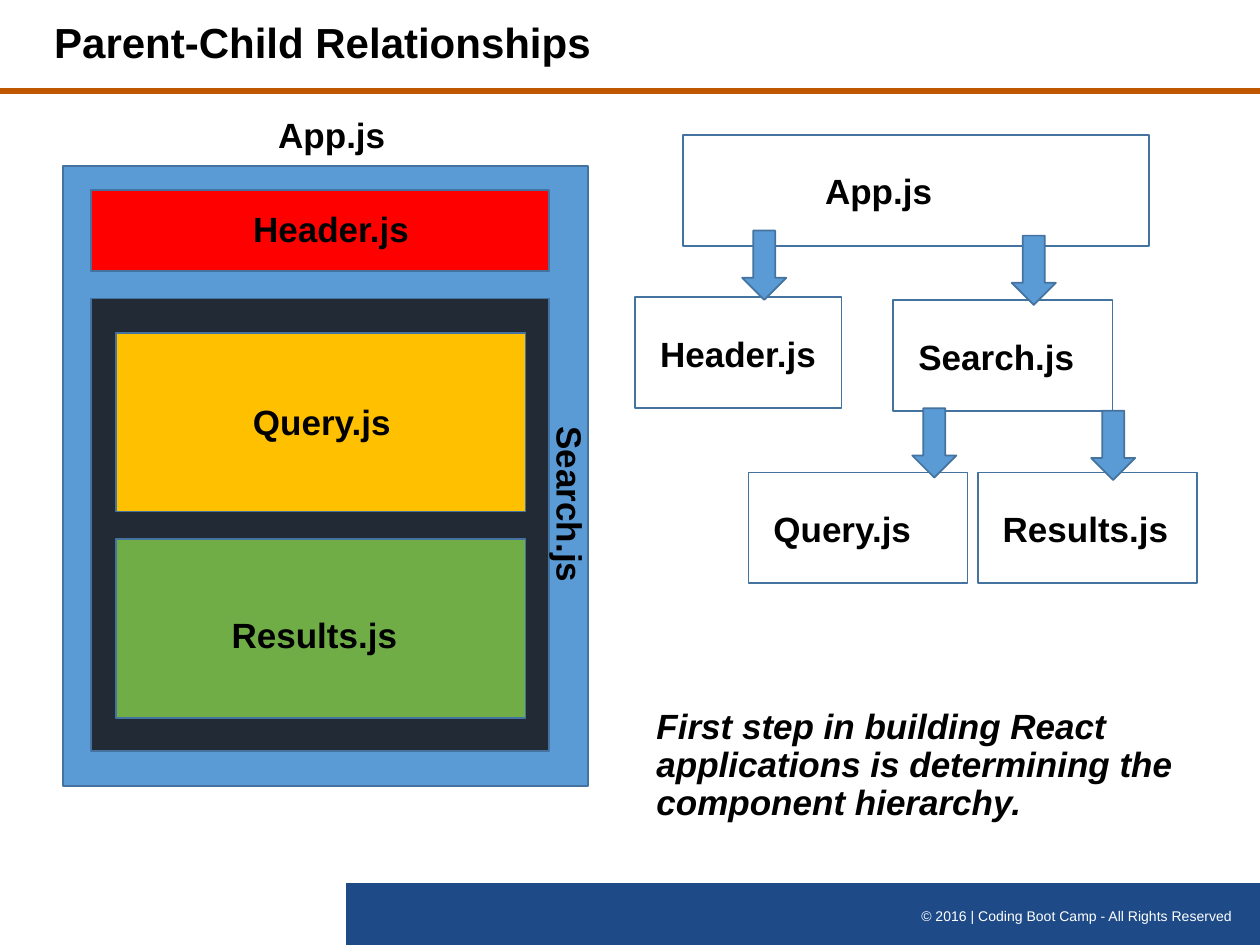
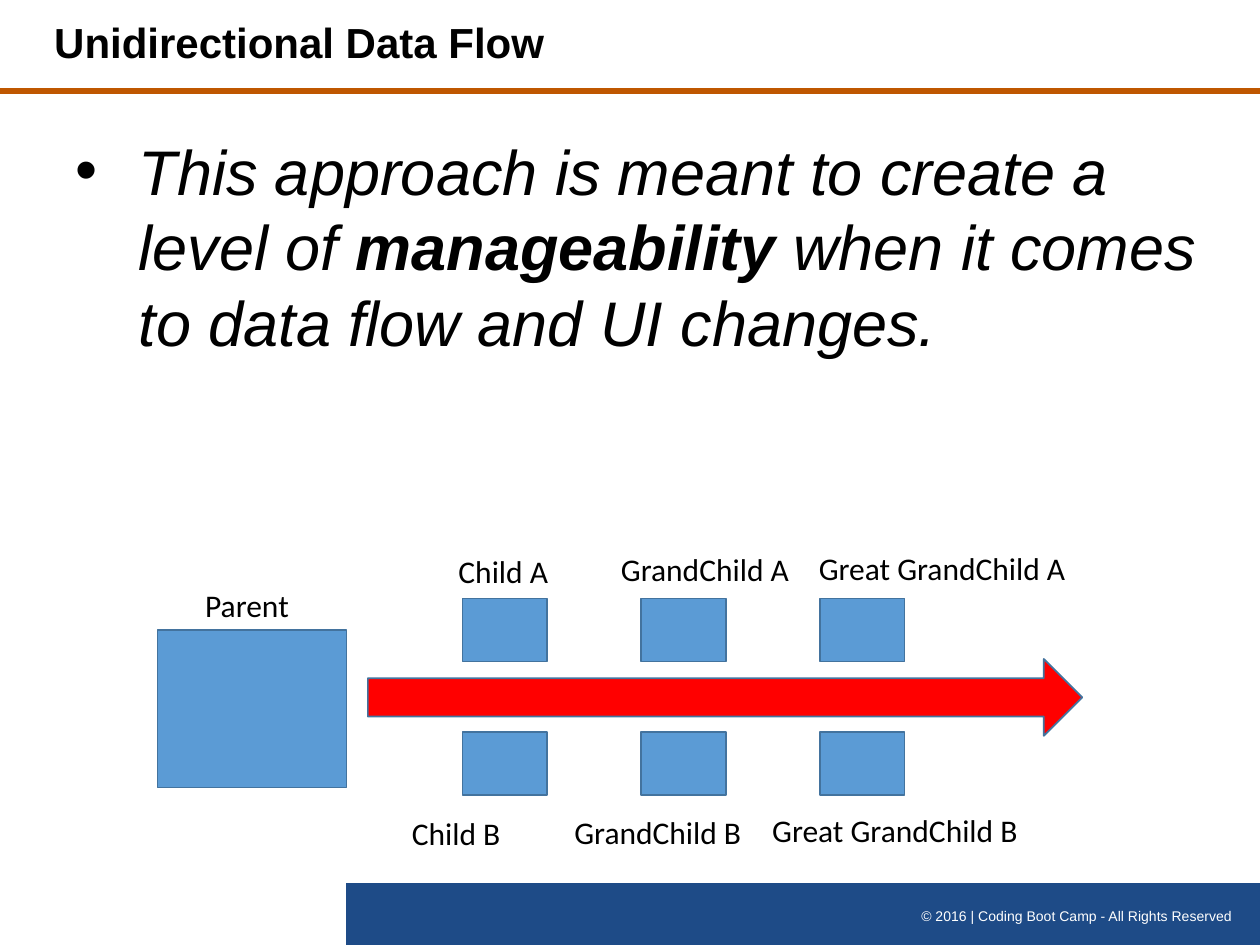
from pptx import Presentation
from pptx.dml.color import RGBColor
from pptx.enum.shapes import MSO_CONNECTOR, MSO_SHAPE
from pptx.enum.text import MSO_ANCHOR, MSO_AUTO_SIZE, PP_ALIGN
from pptx.oxml.ns import qn
from pptx.util import Inches, Pt

BLACK = RGBColor(0x00, 0x00, 0x00)
WHITE = RGBColor(0xFF, 0xFF, 0xFF)
NAVY = RGBColor(0x1E, 0x4B, 0x87)
ORANGE = RGBColor(0xBF, 0x57, 0x00)
BLUE = RGBColor(0x5B, 0x9B, 0xD5)
OUTLINE = RGBColor(0x43, 0x73, 0x9E)
RED = RGBColor(0xFF, 0x00, 0x00)
DARK = RGBColor(0x22, 0x2A, 0x35)
AMBER = RGBColor(0xFF, 0xC0, 0x00)
GREEN = RGBColor(0x70, 0xAD, 0x47)

RECTANGLE = MSO_SHAPE.RECTANGLE
PROCESS = MSO_SHAPE.FLOWCHART_PROCESS
DOWN_ARROW = MSO_SHAPE.DOWN_ARROW
RIGHT_ARROW = MSO_SHAPE.RIGHT_ARROW
STRAIGHT = MSO_CONNECTOR.STRAIGHT
MIDDLE = MSO_ANCHOR.MIDDLE
TOP = MSO_ANCHOR.TOP
LEFT = PP_ALIGN.LEFT
RIGHT = PP_ALIGN.RIGHT
GROW = MSO_AUTO_SIZE.SHAPE_TO_FIT_TEXT
FIXED = MSO_AUTO_SIZE.NONE

HEADING_FONT = "Arial"
CAPTION_FONT = "Calibri"
COLUMNS, ROWS = 10, 7.5
TITLE_ROW = 0.72
FOOTER = "© 2016 | Coding Boot Camp - All Rights Reserved"
LABEL_WIDTHS = {"App.js": 1.06, "Header.js": 1.45, "Search.js": 1.45,
                "Query.js": 1.3, "Results.js": 1.53}


class Deck:
    def __init__(self):
        self.presentation = Presentation()
        self.presentation.slide_width = Inches(10)
        self.presentation.slide_height = Inches(7.5)
        self.slide = None

    def grid(self, *lengths):
        units = (self.presentation.slide_width / COLUMNS,
                 self.presentation.slide_height / ROWS)
        return [round(length * units[index % 2])
                for index, length in enumerate(lengths)]

    def style(self, paragraph, size, font=HEADING_FONT, color=BLACK,
              bold=False, italic=False):
        paragraph.font.name = font
        paragraph.font.size = Pt(size)
        paragraph.font.color.rgb = color
        paragraph.font.bold = bold
        paragraph.font.italic = italic

    def place(self, shape, *box):
        shape.left, shape.top, shape.width, shape.height = self.grid(*box)

    def add_slide(self, title):
        layout = self.presentation.slide_layouts[1]
        self.slide = self.presentation.slides.add_slide(layout)
        self.shape(PROCESS, 2.75, 7.01, 7.26, 0.5, NAVY, None)
        self.rule(TITLE_ROW)
        self.text(FOOTER, 6.83, 7.15, 3.05, 0.24, 8, color=WHITE,
                  align=RIGHT, wrap=True)
        self.title(title)

    def title(self, words):
        shape = self.slide.shapes.title
        self.place(shape, 0.33, 0, 5.98, TITLE_ROW)
        frame = shape.text_frame
        frame.text = words
        frame.vertical_anchor = MIDDLE
        frame.auto_size = FIXED
        paragraph = frame.paragraphs[0]
        paragraph.alignment = LEFT
        paragraph.line_spacing = 0.9
        self.style(paragraph, 24, bold=True)

    def body(self, runs, box, size, margin, bullet=False, bold=False,
             spacing=1.0):
        shape = self.slide.placeholders[1]
        self.place(shape, *box)
        frame = shape.text_frame
        frame.auto_size = FIXED
        frame.vertical_anchor = TOP
        paragraph = frame.paragraphs[0]
        paragraph.space_before = Pt(0)
        paragraph.line_spacing = spacing
        self.style(paragraph, size, bold=bold, italic=True)
        for words, strong in runs:
            run = paragraph.add_run()
            run.text = words
            if strong:
                run.font.bold = True
        properties = paragraph._p.get_or_add_pPr()
        properties.set("marL", str(Inches(margin)))
        properties.set("indent", str(-Inches(margin) if bullet else 0))
        if not bullet:
            mark = properties.makeelement(qn("a:buNone"), {})
            properties.find(qn("a:spcBef")).addnext(mark)

    def rule(self, row):
        line = self.slide.shapes.add_connector(
            STRAIGHT, *self.grid(0, row, COLUMNS, row))
        line.line.color.rgb = ORANGE
        line.line.width = Pt(3.25)
        properties = line._element.spPr
        properties.append(properties.makeelement(qn("a:effectLst"), {}))

    def shape(self, kind, left, top, width, height, fill=BLUE, line=OUTLINE):
        shape = self.slide.shapes.add_shape(
            kind, *self.grid(left, top, width, height))
        shape.shadow.inherit = False
        if fill is None:
            shape.fill.background()
        else:
            shape.fill.solid()
            shape.fill.fore_color.rgb = fill
        if line is None:
            shape.line.fill.background()
        else:
            shape.line.color.rgb = line
            shape.line.width = Pt(1)

    def text(self, words, left, top, width, height, size, align=LEFT,
             wrap=False, rotation=0, **style):
        shape = self.slide.shapes.add_textbox(
            *self.grid(left, top, width, height))
        shape.rotation = rotation
        frame = shape.text_frame
        frame.word_wrap = wrap
        frame.auto_size = GROW
        frame.text = words
        paragraph = frame.paragraphs[0]
        paragraph.alignment = align
        self.style(paragraph, size, **style)

    def file_label(self, name, left, top, rotation=0):
        self.text(name, left, top, LABEL_WIDTHS[name], 0.44, 20,
                  rotation=rotation, bold=True)

    def node(self, name, left, top, width, inset=0.1):
        self.shape(RECTANGLE, left, top, width, 0.88, None)
        self.file_label(name, left + inset, top + 0.23)

    def caption(self, words, left, top, width):
        self.text(words, left, top, width, 0.4, 18, font=CAPTION_FONT)


def parent_child(deck):
    deck.add_slide("Parent-Child Relationships")
    deck.body([("First step in building React applications is determining "
                "the component hierarchy.", False)],
              (4.86, 5.58, 4.97, 1.34), 20, 0.25, bold=True, spacing=0.9)

    deck.shape(RECTANGLE, 0.5, 1.32, 4.17, 4.92)
    for top, height, color in ((1.51, 0.64, RED), (2.37, 3.59, DARK)):
        deck.shape(RECTANGLE, 0.72, top, 3.64, height, color)
    for top, color in ((2.64, AMBER), (4.28, GREEN)):
        deck.shape(RECTANGLE, 0.92, top, 3.25, 1.42, color)
    deck.file_label("Search.js", 3.8, 3.79, rotation=90)
    for name, left, top in (("Header.js", 1.91, 1.6), ("Query.js", 1.91, 3.13),
                            ("Results.js", 1.74, 4.82), ("App.js", 2.11, 0.85)):
        deck.file_label(name, left, top)

    deck.node("App.js", 5.42, 1.07, 3.7, inset=1.03)
    for name, left, top, width in (("Search.js", 7.09, 2.38, 1.74),
                                   ("Header.js", 5.04, 2.36, 1.64),
                                   ("Query.js", 5.94, 3.75, 1.74),
                                   ("Results.js", 7.76, 3.75, 1.74)):
        deck.node(name, left, top, width)
    for left, top in ((5.89, 1.83), (8.03, 1.87), (8.66, 3.26), (7.24, 3.24)):
        deck.shape(DOWN_ARROW, left, top, 0.35, 0.55)


def data_flow(deck):
    deck.add_slide("Unidirectional Data Flow")
    deck.body([("This approach is meant to create a level of ", False),
               ("manageability", True),
               (" when it comes to data flow and UI changes. ", False)],
              (0.5, 1, 9.17, 3.13), 36, 0.5, bullet=True)

    deck.shape(RIGHT_ARROW, 2.92, 5.23, 5.67, 0.61, RED)
    deck.shape(RECTANGLE, 1.25, 5, 1.5, 1.25)
    deck.caption("Parent", 1.53, 4.6, 0.87)
    generations = (("Child", 3.54, 0.92), ("GrandChild", 4.83, 1.55),
                   ("Great GrandChild", 6.4, 2.18))
    branches = (("A", 4.75, 0, 4.33), ("B", 5.81, -0.37, 6.41))
    for branch, box_top, shift, caption_top in branches:
        for index, (generation, left, width) in enumerate(generations):
            deck.shape(RECTANGLE, 3.67 + 1.42 * index, box_top, 0.67, 0.5)
            deck.caption(f"{generation} {branch}", left + shift,
                         caption_top - 0.01 * index, width)


deck = Deck()
parent_child(deck)
data_flow(deck)
deck.presentation.save("out.pptx")
